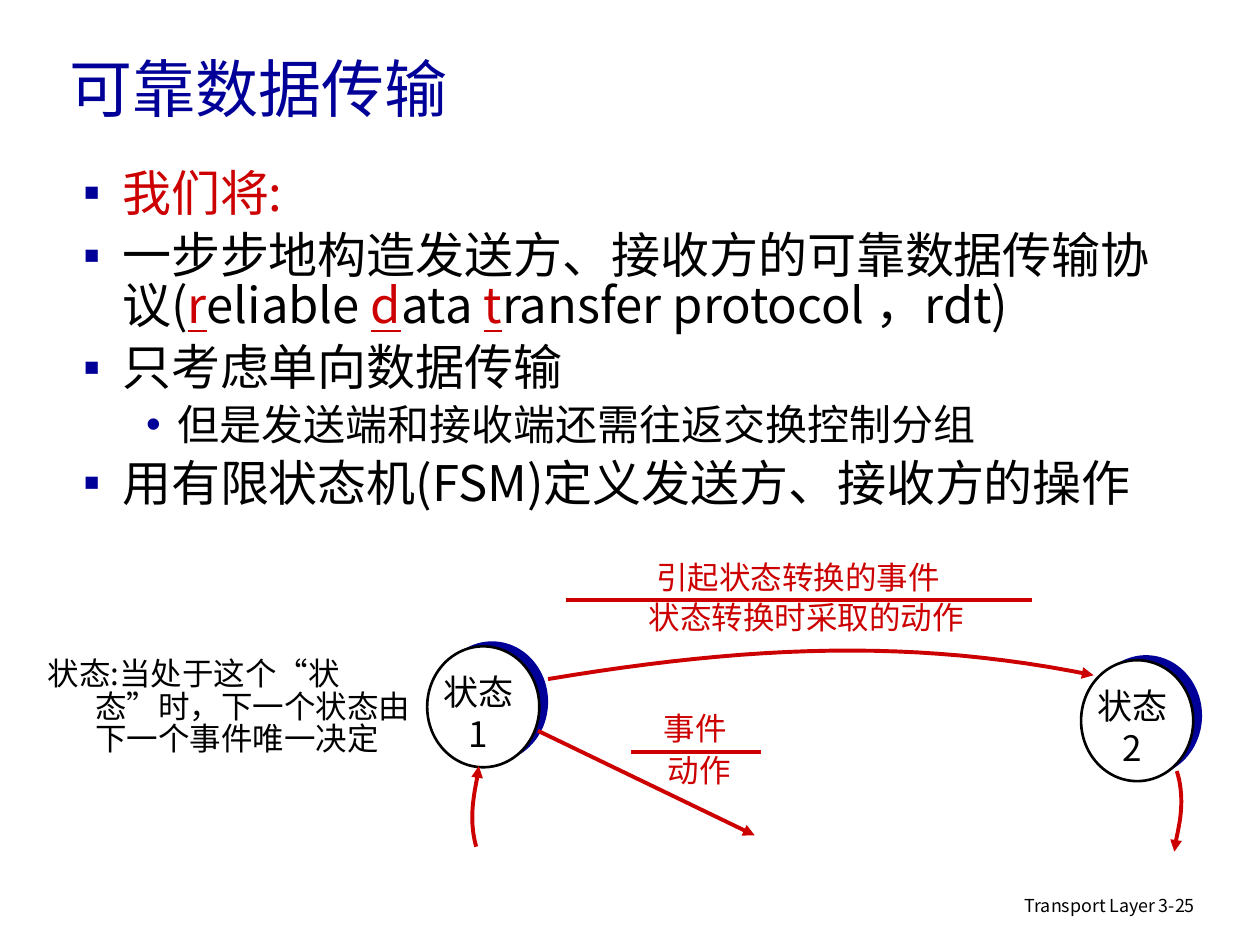
import pptx
import pptx.util
import pptx.dml.color
import pptx.enum.shapes
import pptx.enum.text
import pptx.oxml
import pptx.oxml.ns

Inches, Pt = pptx.util.Inches, pptx.util.Pt
ALIGN = pptx.enum.text.PP_ALIGN
ANCHOR = pptx.enum.text.MSO_ANCHOR
AUTO_SIZE = pptx.enum.text.MSO_AUTO_SIZE
SHAPE = pptx.enum.shapes.MSO_SHAPE

FONT = "Noto Sans CJK SC"
COLORS = {"navy": "000099", "red": "CC0000", "black": "000000", "white": "FFFFFF"}

TITLE = "可靠数据传输"
LEVELS = [
    {"size": 28, "before": 7, "left": 0.31, "hang": 0.31, "bullet": "▪"},
    {"size": 24, "before": 6, "left": 0.75, "hang": 0.25, "bullet": "•"},
]
# (level, runs); a run is (text, colour, underlined)
POINTS = [
    (0, [("我们将:", "red", False)]),
    (0, [("一步步地构造发送方、接收方的可靠数据传输协议(", "black", False),
         ("r", "red", True), ("eliable ", "black", False),
         ("d", "red", True), ("ata ", "black", False),
         ("t", "red", True), ("ransfer protocol ，rdt)", "black", False)]),
    (0, [("只考虑单向数据传输", "black", False)]),
    (1, [("但是发送端和接收端还需往返交换控制分组", "black", False)]),
    (0, [("用有限状态机(FSM)定义发送方、接收方的操作", "black", False)]),
]
STATES = [("1", 3.39, 5.13), ("2", 8.58, 5.24)]
STATE_SIZE = (0.89, 0.96)
NOTE = "状态:当处于这个“状态”时，下一个状态由下一个事件唯一决定"

# (text, box) above and below a rule given by its ends
TRANSITION_LABELS = [
    (("引起状态转换的事件", (5.11, 4.38, 2.45, 0.4)),
     ("状态转换时采取的动作", (5.05, 4.7, 2.7, 0.4)), (4.49, 4.76), (8.19, 4.76)),
    (("事件", (5.17, 5.58, 0.7, 0.4)),
     ("动作", (5.2, 5.91, 0.7, 0.4)), (5.01, 5.97), (6.04, 5.97)),
]
# start, two control points, end
CURVED_ARROWS = [
    [(4.35, 5.39), (5.97, 5.12), (7.26, 5.07), (8.68, 5.36)],
    [(3.78, 6.72), (3.7, 6.44), (3.8, 6.18), (3.8, 6.08)],
    [(9.34, 6.12), (9.43, 6.41), (9.32, 6.66), (9.32, 6.76)],
]
STRAIGHT_ARROW = ((4.27, 5.8), (5.99, 6.63))
FOOTERS = [("Transport Layer", (6.1, 7.07, 3.17, 0.3), ALIGN.RIGHT),
           ("3-25", (9.1, 7.07, 0.74, 0.3), ALIGN.LEFT)]


def rgb(color):
    return pptx.dml.color.RGBColor.from_string(COLORS[color])


def add_element(parent, tag, **attributes):
    element = pptx.oxml.parse_xml(f"<a:{tag} {pptx.oxml.ns.nsdecls('a')}/>")
    for name, value in attributes.items():
        element.set(name, str(value))
    parent.append(element)
    return element


def set_values(target, values):
    for name, value in values.items():
        setattr(target, name, value)


def add_run(paragraph, text, size, color, underline=None):
    run = paragraph.add_run()
    run.text = text
    run.font.color.rgb = rgb(color)
    set_values(run.font, {"size": Pt(size), "name": FONT, "underline": underline})
    add_element(run.font._element, "ea", typeface=FONT)


def set_indent(paragraph, left, hang):
    properties = paragraph._p.get_or_add_pPr()
    properties.set("marL", str(Inches(left)))
    properties.set("indent", str(-Inches(hang)))
    return properties


def place(shape, box):
    set_values(shape, dict(zip(("left", "top", "width", "height"), map(Inches, box))))


def add_text(slide, box, lines, size, color="black", wrap=False, **paragraph_format):
    frame = slide.shapes.add_textbox(*map(Inches, box)).text_frame
    frame.word_wrap = wrap
    frame.auto_size = AUTO_SIZE.NONE if wrap else AUTO_SIZE.SHAPE_TO_FIT_TEXT
    for index, line in enumerate(lines):
        paragraph = frame.add_paragraph() if index else frame.paragraphs[0]
        set_values(paragraph, paragraph_format)
        add_run(paragraph, line, size, color)
    return frame


def style_stroke(shape, arrow):
    shape.line.color.rgb = rgb("red")
    shape.line.width = Pt(2.25)
    if arrow:
        line = shape._element.spPr.find(pptx.oxml.ns.qn("a:ln"))
        add_element(line, "tailEnd", type="triangle")


def add_straight(slide, start, end, arrow=False):
    kind = pptx.enum.shapes.MSO_CONNECTOR.STRAIGHT
    connector = slide.shapes.add_connector(kind, *map(Inches, start + end))
    style_stroke(connector, arrow)
    add_element(connector._element.spPr, "effectLst")


def add_curve(slide, controls, steps=24):
    """Draw a cubic Bezier curve as short segments ending in an arrowhead."""
    points = []
    for step in range(steps + 1):
        t = step / steps
        weights = ((1 - t) ** 3, 3 * t * (1 - t) ** 2, 3 * t ** 2 * (1 - t), t ** 3)
        points.append(tuple(Inches(sum(w * p[axis] for w, p in zip(weights, controls)))
                            for axis in (0, 1)))
    builder = slide.shapes.build_freeform(*points[0])
    builder.add_line_segments(points[1:], close=False)
    curve = builder.convert_to_shape()
    curve.shadow.inherit = False
    curve.fill.background()
    style_stroke(curve, arrow=True)


def add_circle(slide, left, top, color):
    circle = slide.shapes.add_shape(
        SHAPE.OVAL, *map(Inches, (left, top) + STATE_SIZE))
    circle.shadow.inherit = False
    circle.fill.solid()
    circle.fill.fore_color.rgb = rgb(color)
    return circle


def add_state(slide, number, left, top):
    add_circle(slide, left + 0.07, top - 0.04, "navy").line.fill.background()
    front = add_circle(slide, left, top, "white")
    front.line.color.rgb = rgb("black")
    front.line.width = Pt(1.5)
    label = add_text(slide, (left + 0.03, top + 0.14, 0.75, 0.77), ["状态", number],
                     20, alignment=ALIGN.CENTER)
    set_values(label, {"margin_left": 0, "margin_right": 0})


def fill_title(title):
    place(title, (0.45, 0.21, 8.5, 0.97))
    set_values(title.text_frame, {"vertical_anchor": ANCHOR.MIDDLE,
                                  "auto_size": AUTO_SIZE.NONE})
    paragraph = title.text_frame.paragraphs[0]
    paragraph.alignment = ALIGN.LEFT
    add_run(paragraph, TITLE, 36, "navy")


def fill_body(body):
    place(body, (0.56, 1.31, 8.69, 3.67))
    frame = body.text_frame
    frame.auto_size = AUTO_SIZE.NONE
    for index, (level, runs) in enumerate(POINTS):
        style = LEVELS[level]
        paragraph = frame.add_paragraph() if index else frame.paragraphs[0]
        set_values(paragraph, {"level": level, "line_spacing": 0.85,
                               "space_before": Pt(style["before"] if index else 0)})
        properties = set_indent(paragraph, style["left"], style["hang"])
        bullet_color = add_element(properties, "buClr")
        add_element(bullet_color, "srgbClr", val=COLORS["navy"])
        add_element(properties, "buChar", char=style["bullet"])
        for text, color, underline in runs:
            add_run(paragraph, text, style["size"], color, underline)


def main():
    deck = pptx.Presentation()
    set_values(deck, {"slide_width": Inches(10), "slide_height": Inches(7.5)})
    slide = deck.slides.add_slide(deck.slide_layouts[1])
    fill_title(slide.shapes.title)
    fill_body(slide.placeholders[1])

    for state in STATES:
        add_state(slide, *state)
    note = add_text(slide, (0.28, 5.19, 3.17, 1.35), [NOTE], 18, wrap=True,
                    line_spacing=0.85)
    set_indent(note.paragraphs[0], 0.38, 0.38)

    for event, action, start, end in TRANSITION_LABELS:
        for text, box in (event, action):
            add_text(slide, box, [text], 18, "red", alignment=ALIGN.CENTER)
        add_straight(slide, start, end)
    for controls in CURVED_ARROWS:
        add_curve(slide, controls)
    add_straight(slide, *STRAIGHT_ARROW, arrow=True)

    for text, box, alignment in FOOTERS:
        add_text(slide, box, [text], 10.2, wrap=True, alignment=alignment,
                 line_spacing=0.9)
    deck.save("out.pptx")


if __name__ == "__main__":
    main()
